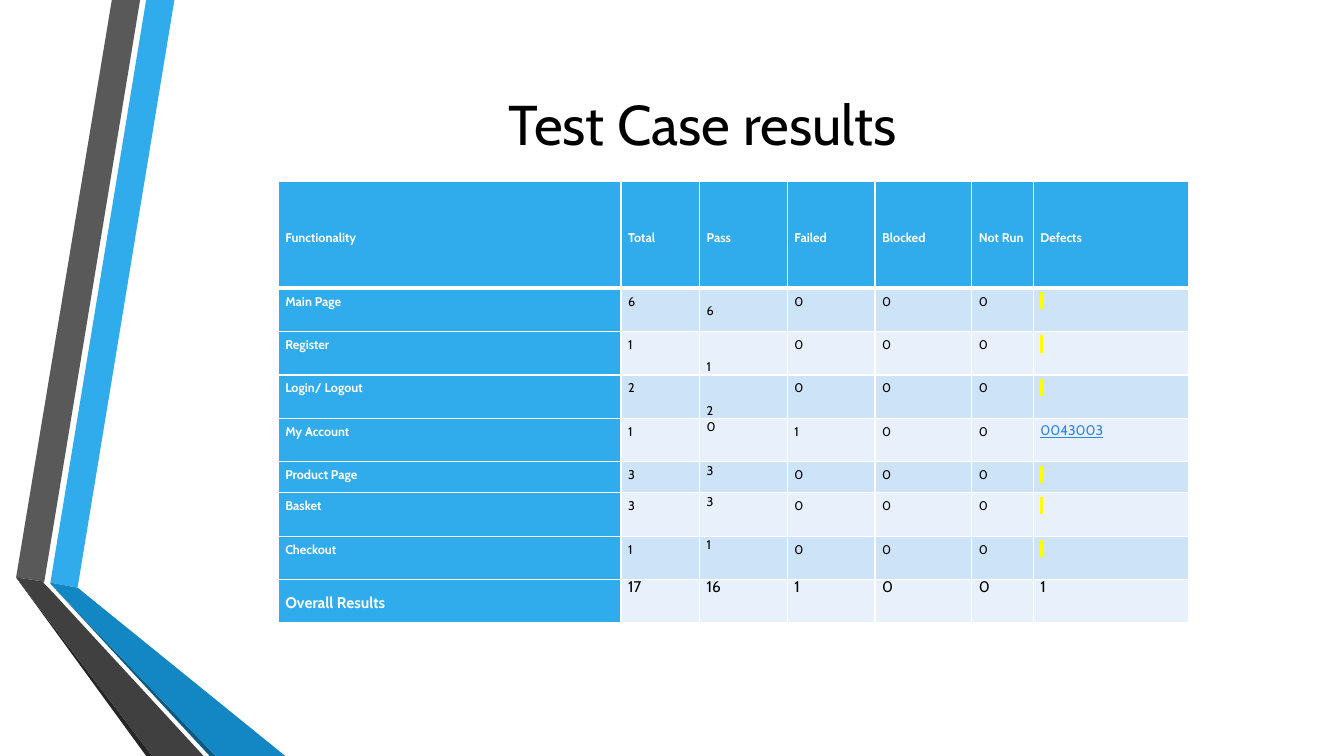
from lxml import etree
from pptx import Presentation
from pptx.dml.color import RGBColor
from pptx.enum.text import MSO_ANCHOR, PP_ALIGN
from pptx.oxml.ns import qn
from pptx.util import Inches, Pt

TOP, MIDDLE, BOTTOM = MSO_ANCHOR.TOP, MSO_ANCHOR.MIDDLE, MSO_ANCHOR.BOTTOM
CENTER = PP_ALIGN.CENTER
BLUE, WHITE, BLACK, LINK, YELLOW = "30ACEC", "FFFFFF", "000000", "3085ED", "FFFF00"
BANDS = ["CDE3F8", "E8F1FB"]
NBSP = " "

RIBBONS = [
    (BLUE, [(0.5, 5.78), (0.77, 5.83), (1.73, 0), (1.45, 0)]),
    ("595959", [(1.39, 0), (1.11, 0), (0.16, 5.73), (0.44, 5.77)]),
    ("262626", [(0.16, 5.73), (1.45, 7.5), (1.51, 7.5)]),
    ("0C5A82", [(0.5, 5.79), (2.08, 7.5), (2.14, 7.5)]),
    ("1287C3", [(0.5, 5.79), (2.14, 7.5), (2.83, 7.5), (0.77, 5.83), (0.5, 5.78)]),
    ("404040", [(2.02, 7.5), (0.48, 5.83), (0.43, 5.78), (0.44, 5.77),
                (0.16, 5.73), (1.51, 7.5)]),
]
COL_WIDTHS = [3.4, 0.78, 0.87, 0.87, 0.96, 0.61, 1.54]
ROW_HEIGHTS = [1.06, 0.43, 0.43, 0.43, 0.43, 0.31, 0.43, 0.43, 0.43]
RESULTS = [
    ["Functionality", "Total", "Pass", "Failed", "Blocked", "Not Run", "Defects"],
    ["Main Page", "6", "6", "0", "0", "0", NBSP],
    ["Register", "1", "1", "0", "0", "0", NBSP],
    ["Login/ Logout", "2", "2", "0", "0", "0", NBSP],
    ["My Account", "1", "0", "1", "0", "0", "0043003"],
    ["Product Page", "3", "3", "0", "0", "0", NBSP],
    ["Basket", "3", "3", "0", "0", "0", NBSP],
    ["Checkout", "1", "1", "0", "0", "0", NBSP],
    ["Overall Results", "17", "16", "1", "0", "0", "1"],
]
OVERALL = len(RESULTS) - 1
PASS, DEFECTS = 2, 6
PASS_ANCHORS = {1: MIDDLE, 2: BOTTOM, 3: BOTTOM}


def rgb(value):
    return RGBColor.from_string(value)


def set_attrs(obj, values):
    for name, value in values.items():
        setattr(obj, name, value)


class SlideBuilder:
    font = "Cabin"

    def __init__(self, slide):
        self.slide = slide

    def add_text(self, p, text, color, para, **font):
        set_attrs(p, para)
        r = p.add_run()
        r.text = text
        set_attrs(r.font, {"name": self.font, **font})
        r.font.color.rgb = rgb(color)
        return r

    def ribbon(self, color, points):
        builder = self.slide.shapes.build_freeform(
            Inches(points[0][0]), Inches(points[0][1]))
        builder.add_line_segments([(Inches(x), Inches(y)) for x, y in points[1:]])
        sp = builder.convert_to_shape()
        sp.shadow.inherit = False
        sp.fill.solid()
        sp.fill.fore_color.rgb = rgb(color)
        sp.line.fill.background()

    def title(self, text, left, top, width, height):
        sp = self.slide.shapes.title
        set_attrs(sp, {"left": Inches(left), "top": Inches(top),
                       "width": Inches(width), "height": Inches(height)})
        tf = sp.text_frame
        tf.vertical_anchor = MIDDLE
        self.add_text(tf.paragraphs[0], text, BLACK, {"alignment": CENTER}, size=Pt(40))

    def borders(self, cell, bottom):
        """Draw white cell borders, the bottom one at its own width in points."""
        tc_pr = cell._tc.get_or_add_tcPr()
        widths = {"a:lnL": 1, "a:lnR": 1, "a:lnT": 1, "a:lnB": bottom}
        for i, (tag, width) in enumerate(widths.items()):
            ln = etree.Element(qn(tag), w=str(Pt(width)))
            fill = etree.SubElement(ln, qn("a:solidFill"))
            etree.SubElement(fill, qn("a:srgbClr"), val=WHITE)
            tc_pr.insert(i, ln)

    def highlight(self, r, color):
        mark = etree.Element(qn("a:highlight"))
        etree.SubElement(mark, qn("a:srgbClr"), val=color)
        r._r.get_or_add_rPr().find(qn("a:solidFill")).addnext(mark)

    def cell(self, cell, row, col, text):
        header, overall = row == 0, row == OVERALL
        label = header or col == 0
        defect = col == DEFECTS and not header and not overall
        tight = overall or (col == PASS and not header)

        anchor = MIDDLE if header or (overall and label) else TOP
        if col == PASS:
            anchor = PASS_ANCHORS.get(row, anchor)
        set_attrs(cell, {"margin_left": Inches(0.07), "margin_right": Inches(0.07),
                         "margin_top": Inches(0.06 if overall and label else 0),
                         "margin_bottom": 0, "vertical_anchor": anchor})
        cell.fill.solid()
        cell.fill.fore_color.rgb = rgb(BLUE if label else BANDS[(row - 1) % 2])
        self.borders(cell, 3 if header else 1)

        para = {"line_spacing": Pt(12 if tight else 15),
                "space_before": Pt(0 if overall and label else 10),
                "space_after": Pt(6 if tight and not label else 0)}
        size = 11 if overall else 10 if defect else 9
        color = WHITE if label else LINK if defect else BLACK
        r = self.add_text(cell.text_frame.paragraphs[0], text, color, para,
                          size=Pt(size), bold=label,
                          underline=defect and text != NBSP)
        if text == NBSP:
            self.highlight(r, YELLOW)

    def table(self, rows, left, top):
        frame = self.slide.shapes.add_table(
            len(rows), len(COL_WIDTHS), Inches(left), Inches(top),
            Inches(sum(COL_WIDTHS)), Inches(sum(ROW_HEIGHTS)))
        table = frame.table
        for column, width in zip(table.columns, COL_WIDTHS):
            column.width = Inches(width)
        for table_row, height in zip(table.rows, ROW_HEIGHTS):
            table_row.height = Inches(height)
        for i, row in enumerate(rows):
            for j, text in enumerate(row):
                self.cell(table.cell(i, j), i, j, text)


def main():
    prs = Presentation()
    prs.slide_width, prs.slide_height = Inches(13.33), Inches(7.5)
    builder = SlideBuilder(prs.slides.add_slide(prs.slide_layouts[5]))
    for color, points in RIBBONS:
        builder.ribbon(color, points)
    builder.title("Test Case results ", 1.55, 0.26, 10.96, 1.92)
    builder.table(RESULTS, 2.76, 1.8)
    prs.save("out.pptx")


if __name__ == "__main__":
    main()
